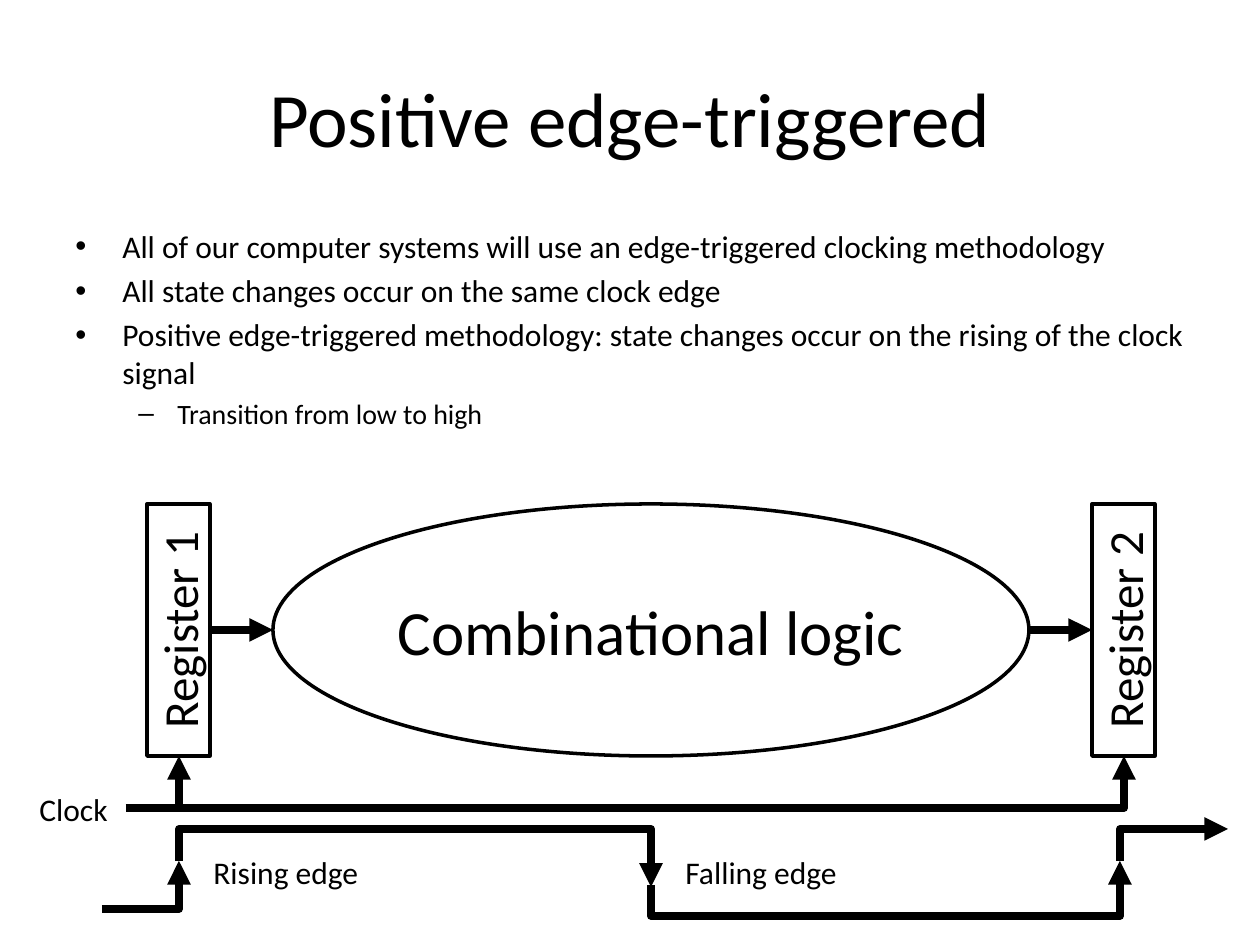
import dataclasses

import lxml.etree
import pptx
import pptx.dml.color
import pptx.enum.shapes
import pptx.enum.text
import pptx.oxml.ns
import pptx.util

PIXEL = 914400 // 126
ALIGN = pptx.enum.text.PP_ALIGN
MIDDLE = pptx.enum.text.MSO_ANCHOR.MIDDLE
SHAPE = pptx.enum.shapes.MSO_SHAPE
CONNECTOR = pptx.enum.shapes.MSO_CONNECTOR
qn = pptx.oxml.ns.qn


@dataclasses.dataclass(frozen=True)
class Theme:
    """Colours, font, type sizes and line widths."""
    ink: pptx.dml.color.RGBColor = pptx.dml.color.RGBColor(0, 0, 0)
    font: str = "Calibri"
    title: int = 44
    logic: int = 36
    register: int = 28
    body: int = 18
    detail: int = 16
    outline: float = 2
    wire: float = 4.5


THEME = Theme()


def emu(*pixels):
    """Turn pixel lengths into whole EMU."""
    return [round(value * PIXEL) for value in pixels]


def style(paragraph, size, align):
    """Set font and alignment of a paragraph."""
    paragraph.alignment = align
    paragraph.font.name = THEME.font
    paragraph.font.size = pptx.util.Pt(size)
    paragraph.font.color.rgb = THEME.ink


def write(shape, text, size, align=ALIGN.CENTER):
    """Put one vertically centred paragraph into a shape."""
    frame = shape.text_frame
    frame.word_wrap = True
    frame.vertical_anchor = MIDDLE
    frame.text = text
    style(frame.paragraphs[0], size, align)


def add_label(slide, box, text, align=ALIGN.LEFT):
    """Add a plain text label."""
    write(slide.shapes.add_textbox(*emu(*box)), text, THEME.body, align)


def add_block(slide, kind, box, text, size, rotation=0):
    """Add an outlined, unfilled block with a caption."""
    block = slide.shapes.add_shape(kind, *emu(*box))
    block.shadow.inherit = False
    block.fill.background()
    block.line.color.rgb = THEME.ink
    block.line.width = pptx.util.Pt(THEME.outline)
    block.rotation = rotation
    write(block, text, size)


def add_wire(slide, start, end, kind=CONNECTOR.STRAIGHT):
    """Add a thick connector with an arrowhead at its end."""
    wire = slide.shapes.add_connector(kind, *emu(*start, *end))
    wire.line.color.rgb = THEME.ink
    wire.line.width = pptx.util.Pt(THEME.wire)
    lxml.etree.SubElement(wire.line._get_or_add_ln(), qn("a:tailEnd"), type="triangle")
    lxml.etree.SubElement(wire.element.spPr, qn("a:effectLst"))
    return wire


def add_elbow(slide, start, end, level=None, upright=False):
    """Add a rightward bent wire; an upright one leaves vertically, by way of level if given."""
    wire = add_wire(slide, start, end, CONNECTOR.ELBOW)
    properties = wire.element.spPr
    geometry = properties.find(qn("a:prstGeom"))
    across, down = end[0] - start[0], end[1] - start[1]
    if level is None:
        geometry.set("prst", "bentConnector2")
    else:
        bend = round((level - start[1]) / down * 100000)
        lxml.etree.SubElement(geometry.find(qn("a:avLst")), qn("a:gd"),
                              name="adj1", fmla=f"val {bend}")
    if upright:
        width, height = abs(down), across
        middle_x, middle_y = (start[0] + end[0]) / 2, (start[1] + end[1]) / 2
        wire.left, wire.top, wire.width, wire.height = emu(
            middle_x - width / 2, middle_y - height / 2, width, height)
        transform = properties.find(qn("a:xfrm"))
        transform.set("rot", str((270 if down > 0 else 90) * 60000))
        transform.set("flipH", "1")
        transform.set("flipV", "0" if down > 0 else "1")


def add_title(slide, box, text):
    """Place and fill the title placeholder."""
    title = slide.shapes.title
    title.left, title.top, title.width, title.height = emu(*box)
    write(title, text, THEME.title)


def add_bullets(slide, box, items):
    """Add a two-level bullet list from (level, text) pairs."""
    frame = slide.shapes.add_textbox(*emu(*box)).text_frame
    frame.word_wrap = True
    levels = [(THEME.body, 47, 47, "•"), (THEME.detail, 102, 39, "–")]
    for index, (level, text) in enumerate(items):
        paragraph = frame.paragraphs[0] if index == 0 else frame.add_paragraph()
        size, margin, hanging, bullet = levels[level]
        paragraph.text = text
        paragraph.level = level
        style(paragraph, size, ALIGN.LEFT)
        paragraph.space_before = pptx.util.Pt(size * 0.2)
        properties = paragraph._p.get_or_add_pPr()
        margin, hanging = emu(margin, hanging)
        properties.set("marL", str(margin))
        properties.set("indent", str(-hanging))
        font = lxml.etree.Element(qn("a:buFont"), typeface="Arial")
        mark = lxml.etree.Element(qn("a:buChar"), char=bullet)
        defaults = properties.find(qn("a:defRPr"))
        defaults.addprevious(font)
        defaults.addprevious(mark)


def add_datapath(slide, box):
    """Draw two registers with combinational logic between them."""
    left, top, width, height = box
    thickness, gap = 63, 63
    middle = top + height / 2
    right = left + width
    for name, x in (("Register 1", left), ("Register 2", right - thickness)):
        turned = (x + (thickness - height) / 2, middle - thickness / 2, height, thickness)
        add_block(slide, SHAPE.RECTANGLE, turned, name, THEME.register, 270)
    inset = thickness + gap
    add_block(slide, SHAPE.OVAL, (left + inset, top, width - 2 * inset, height),
              "Combinational logic", THEME.logic)
    for x in (left + thickness, right - inset):
        add_wire(slide, (x, middle), (x + gap, middle))


def add_clock(slide, box):
    """Draw the clock line and its waveform below the registers."""
    left, top, width, height = box
    rise, fall, next_rise = left + 158, left + 630, left + 1099
    line = top + 52
    add_label(slide, (left, top + 21, 105, 63), "Clock", ALIGN.CENTER)
    for x in (rise, left + 1103):
        add_elbow(slide, (left + 105, line), (x, top))
    edge, high, low = top + 105, top + 73, top + 160
    add_elbow(slide, (left + 81, top + 153), (rise, edge))
    add_elbow(slide, (rise, edge), (fall, top + 131), high, upright=True)
    add_elbow(slide, (fall, top + 129), (next_rise, edge), low, upright=True)
    add_elbow(slide, (next_rise, edge), (left + width, high), upright=True)
    for text, x in (("Rising edge", rise), ("Falling edge", fall)):
        add_label(slide, (x + 22, top + 84, 262, 63), text)


def main():
    """Build and save the slide."""
    presentation = pptx.Presentation()
    presentation.slide_width, presentation.slide_height = emu(1260, 945)
    slide = presentation.slides.add_slide(presentation.slide_layouts[5])
    add_title(slide, (63, 38, 1134, 157), "Positive edge-triggered")
    add_bullets(slide, (63, 221, 1134, 242), [
        (0, "All of our computer systems will use an edge-triggered clocking methodology"),
        (0, "All state changes occur on the same clock edge"),
        (0, "Positive edge-triggered methodology: state changes occur on the rising "
            "of the clock signal"),
        (1, "Transition from low to high"),
    ])
    add_datapath(slide, (147, 504, 1008, 252))
    add_clock(slide, (21, 756, 1207, 160))
    presentation.save("out.pptx")


main()
